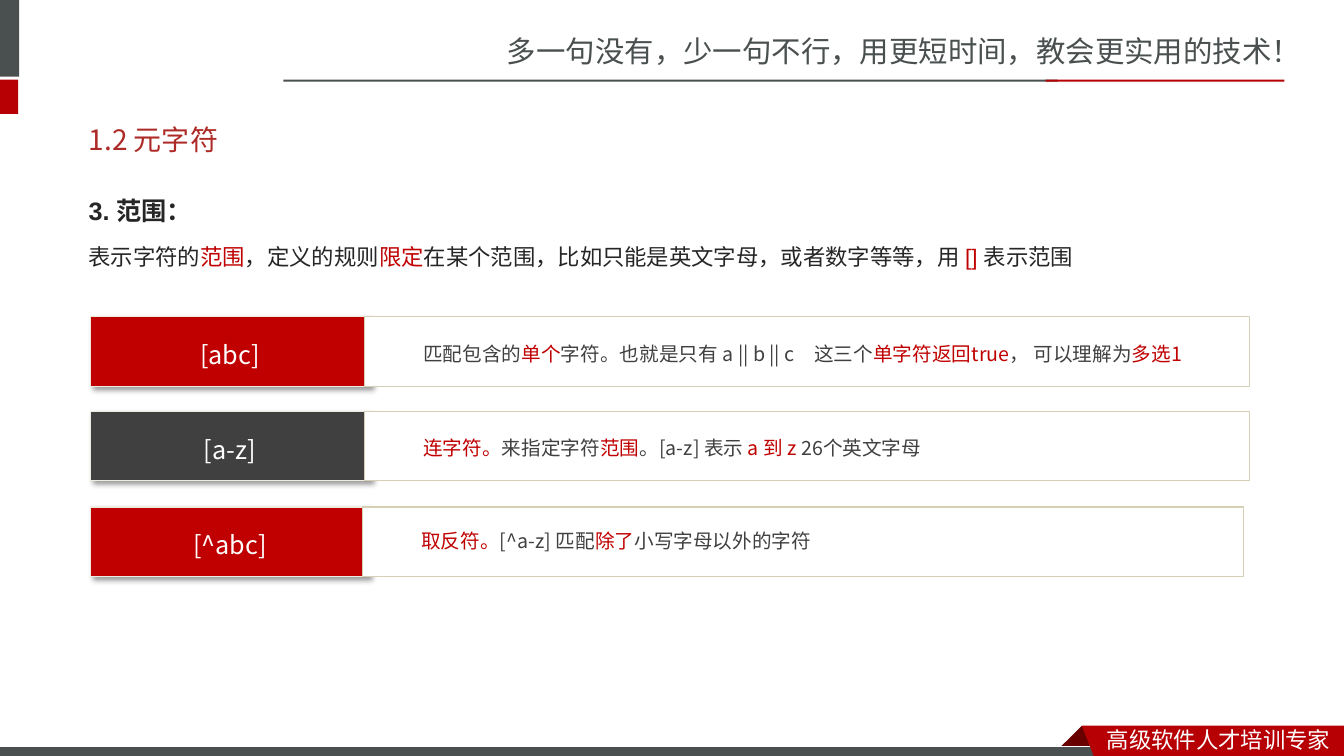
from lxml import etree
from pptx import Presentation
from pptx.dml.color import RGBColor
from pptx.enum import shapes, text
from pptx.oxml.ns import qn
from pptx.util import Inches, Pt

SLATE = RGBColor(0x49, 0x50, 0x4F)
BRAND_RED = RGBColor(0xB6, 0x00, 0x04)
FOLD_RED = RGBColor(0x68, 0x00, 0x00)
TITLE_RED = RGBColor(0xAD, 0x2A, 0x26)
RED = RGBColor(0xC0, 0x00, 0x00)
INK = RGBColor(0x26, 0x26, 0x26)
GRAY = RGBColor(0x40, 0x40, 0x40)
WHITE = RGBColor(0xFF, 0xFF, 0xFF)
LABEL_EDGE = RGBColor(0xEE, 0xEC, 0xE1)
CARD_EDGE = RGBColor(0xD5, 0xD0, 0xB5)
SC, JP = "Noto Sans CJK SC", "Noto Sans CJK JP"

prs = Presentation()
prs.slide_width, prs.slide_height = Inches(13.33), Inches(7.5)
slide = prs.slides.add_slide(prs.slide_layouts[5])


def write(paragraph, runs, size, latin, east_asian, bold=False):
    """Fill a paragraph with (wording, colour) runs."""
    paragraph.font.size, paragraph.font.name = Pt(size), latin
    paragraph.font.bold = bold
    for wording, colour in runs:
        run = paragraph.add_run()
        run.text = wording
        run.font.color.rgb = colour
        run.font.name = latin
        ea = etree.SubElement(run.font._element, qn("a:ea"))
        ea.set("typeface", east_asian)


def add_box(left, top, width, height, fill=None, edge=None):
    """Add a filled rectangle, or a wrapping text box if there is no fill."""
    place = [Inches(v) for v in (left, top, width, height)]
    if fill is None:
        box = slide.shapes.add_textbox(*place)
        box.text_frame.word_wrap = True
        return box
    box = slide.shapes.add_shape(shapes.MSO_SHAPE.RECTANGLE, *place)
    box.shadow.inherit = False
    box.fill.solid()
    box.fill.fore_color.rgb = fill
    if edge is None:
        box.line.fill.background()
    else:
        box.line.color.rgb = edge
        box.line.width = Pt(0.75)
    return box


# Header: slogan, side tabs and rule
slogan = add_box(4.93, 0.28, 8.41, 0.47)
write(slogan.text_frame.paragraphs[0],
      [("多一句没有，少一句不行，用更短时间，教会更实用的技术！", SLATE)], 21, SC, SC)
add_box(-0.06, 0, 0.25, 0.76, SLATE)
add_box(-0.06, 0.79, 0.24, 0.34, BRAND_RED)
add_box(2.81, 0.79, 7.68, 0.02, SLATE)
add_box(10.37, 0.79, 2.37, 0.02, BRAND_RED)

# Footer: fold, bar and ribbon
fold_points = [(10.73, 7.2), (10.95, 7.42), (10.94, 7.43), (10.52, 7.43), (10.51, 7.42)]
ribbon_points = [(10.73, 7.2), (13.33, 7.2), (13.33, 7.54), (10.86, 7.53)]
for points, colour in ((fold_points, FOLD_RED), (ribbon_points, BRAND_RED)):
    corners = [(Inches(x), Inches(y)) for x, y in points]
    outline = slide.shapes.build_freeform(*corners[0])
    outline.add_line_segments(corners[1:], close=True)
    flap = outline.convert_to_shape()
    flap.shadow.inherit = False
    flap.fill.solid()
    flap.fill.fore_color.rgb = colour
    flap.line.fill.background()
    if colour == FOLD_RED:
        add_box(-0.01, 7.41, 11, 0.12, SLATE, WHITE)
motto = add_box(10.88, 7.15, 2.45, 0.37)
write(motto.text_frame.paragraphs[0], [("高级软件人才培训专家", WHITE)], 16, SC, SC)

# Title
title = slide.shapes.title
title.left, title.top = Inches(0.78), Inches(1.1)
title.width, title.height = Inches(11.75), Inches(0.57)
title.text_frame.auto_size = text.MSO_AUTO_SIZE.NONE
title.text_frame.vertical_anchor = text.MSO_ANCHOR.MIDDLE
title.text_frame.paragraphs[0].alignment = text.PP_ALIGN.LEFT
write(title.text_frame.paragraphs[0], [("1.2 元字符", TITLE_RED)], 20, JP, JP)

# Introduction
intro = add_box(0.78, 1.74, 11.72, 1.2).text_frame
heading, summary = intro.paragraphs[0], intro.add_paragraph()
write(heading, [("3. 范围：", INK)], 18, "Arial", SC, bold=True)
write(summary, [("表示字符的", INK), ("范围", RED), ("，定义的规则", INK), ("限定", RED),
                ("在某个范围，比如只能是英文字母，或者数字等等，用 ", INK),
                ("[] ", RED), ("表示范围", INK)], 16, "Arial", SC)
for paragraph, gap in ((heading, 3.6), (summary, 3.2)):
    paragraph.line_spacing, paragraph.space_before = 1.5, Pt(gap)

# Pattern rows: label, fill, top, label width, card left, card width, text offset, meaning
rows = [
    ("[abc]", RED, 3.14, 2.77, 3.62, 8.77, 0.2,
     [("匹配包含的", GRAY), ("单个", RED), ("字符。也就是只有 a || b || c　这三个", GRAY),
      ("单字符返回true", RED), ("， 可以理解为", GRAY), ("多选1", RED)]),
    ("[a-z]", GRAY, 4.08, 2.77, 3.62, 8.77, 0.2,
     [("连字符。", RED), ("来指定字符", GRAY), ("范围", RED), ("。[a-z] 表示 ", GRAY),
      ("a 到 z ", RED), ("26个英文字母", GRAY)]),
    ("[^abc]", RED, 5.03, 2.76, 3.6, 8.73, 0.17,
     [("取反符。", RED), ("[^a-z] 匹配", GRAY), ("除了", RED), ("小写字母以外的字符", GRAY)]),
]
for pattern, fill, top, label_width, card_left, card_width, offset, meaning in rows:
    label = add_box(0.9, top, label_width, 0.69, fill, LABEL_EDGE)
    effects = label._element.spPr.find(qn("a:effectLst"))
    shadow = etree.SubElement(effects, qn("a:outerShdw"), blurRad=str(Pt(4)),
                              dist=str(Pt(3)), dir="2700000", algn="tl", rotWithShape="0")
    shade = etree.SubElement(shadow, qn("a:srgbClr"), val="000000")
    etree.SubElement(shade, qn("a:alpha"), val="40000")

    caption = add_box(0.96, top + 0.175, 2.64, 0.4).text_frame.paragraphs[0]
    caption.alignment = text.PP_ALIGN.CENTER
    write(caption, [(pattern, WHITE)], 18, JP, JP)

    add_box(card_left, top, card_width, 0.69, WHITE, CARD_EDGE)
    note = add_box(card_left + 0.48, top + offset, 8.04, 0.34).text_frame.paragraphs[0]
    note.alignment = text.PP_ALIGN.JUSTIFY
    write(note, meaning, 14, JP, JP)

prs.save("out.pptx")
